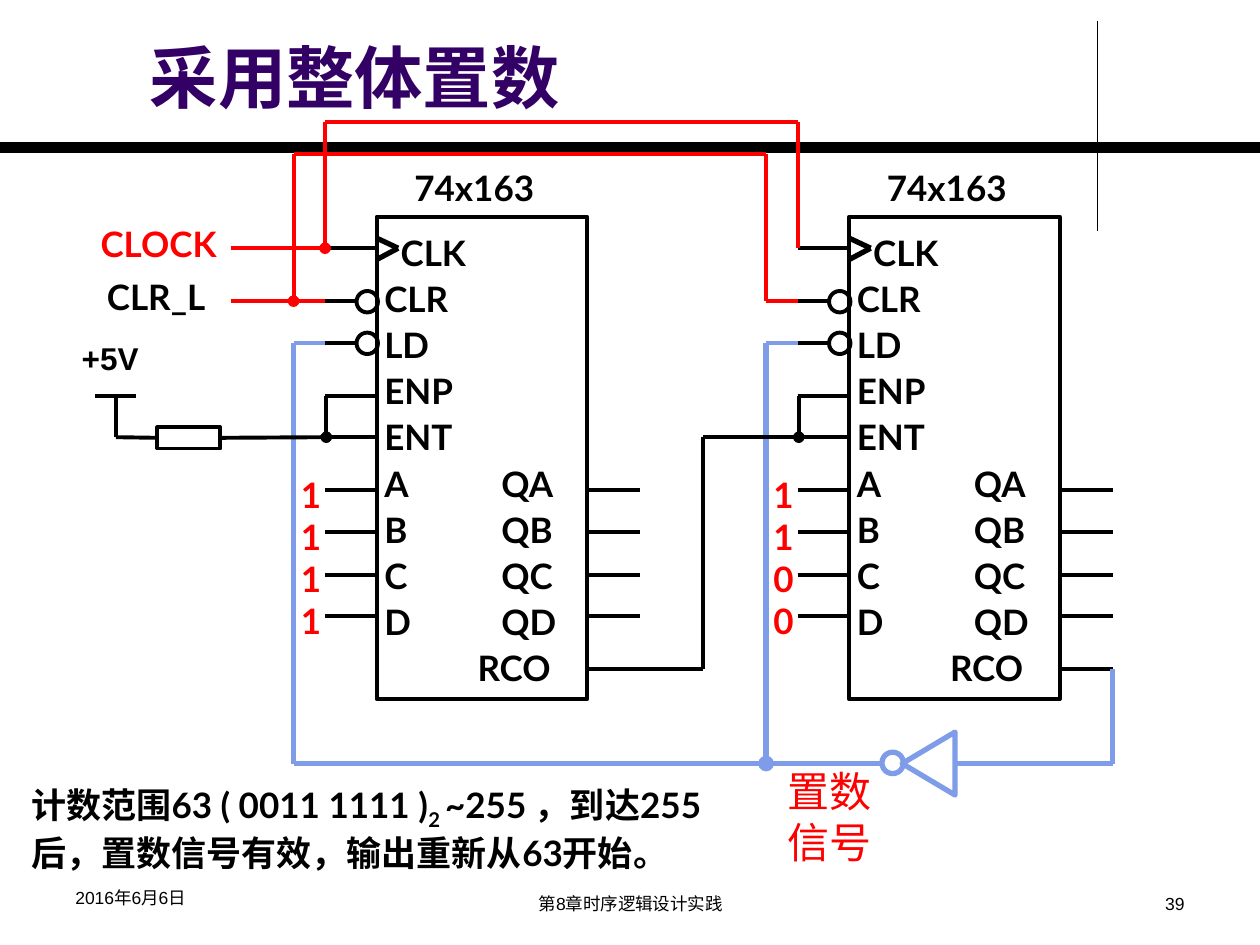
from dataclasses import dataclass
from itertools import pairwise

from lxml.etree import SubElement
from pptx import Presentation
from pptx.dml.color import RGBColor
from pptx.enum.shapes import MSO_CONNECTOR, MSO_SHAPE
from pptx.enum.text import MSO_ANCHOR, MSO_AUTO_SIZE, PP_ALIGN
from pptx.oxml.ns import qn
from pptx.util import Inches, Pt


@dataclass(frozen=True)
class Theme:
    black: RGBColor = RGBColor(0, 0, 0)
    red: RGBColor = RGBColor(255, 0, 0)
    blue: RGBColor = RGBColor(0x7E, 0x9C, 0xE8)
    purple: RGBColor = RGBColor(0x33, 0, 0x66)
    sans: str = "Arial"
    label: str = "Lato"
    title: float = 39
    note: float = 24
    body: float = 20
    volt: float = 18
    foot: float = 10
    hair: float = 0.75
    thin: float = 2.25
    bold: float = 3
    rule: float = 6


T = Theme()
STEP = 3.75  # distance between the two chips
# Left label, right label, indent of the row
ROWS = [("CLK", "", 0.13), ("CLR", "", 0), ("LD", "", 0), ("ENP", "", 0),
        ("ENT", "", 0), ("A", "QA", 0), ("B", "QB", 0), ("C", "QC", 0),
        ("D", "QD", 0), ("RCO", "", 0.74)]
DATA = [2.17, 2.5, 2.84, 3.17]  # pin heights of A to D
RCO = 3.59


def style(para, size, color=T.black, font=T.label, bold=True):
    face = para.font
    face.size, face.name, face.bold = Pt(size), font, bold
    face.color.rgb = color


def text(slide, box, lines, size, color=T.black, font=T.label, bold=True,
         wrap=False, align=PP_ALIGN.LEFT):
    frame = slide.shapes.add_textbox(*map(Inches, box)).text_frame
    frame.word_wrap = wrap
    frame.text = lines
    for para in frame.paragraphs:
        para.alignment = align
        style(para, size, color, font, bold)
    return frame


def shape(slide, kind, box, width=T.thin, color=T.black):
    part = slide.shapes.add_shape(kind, *map(Inches, box))
    part.shadow.inherit = False
    part.fill.background()
    part.line.color.rgb = color
    part.line.width = Pt(width)
    return part


def wire(slide, *points, color=T.black, width=T.thin, dot=False):
    """Join the points by straight lines; dot marks a joint at the end."""
    parts = []
    for start, end in pairwise(points):
        part = slide.shapes.add_connector(
            MSO_CONNECTOR.STRAIGHT, *map(Inches, (*start, *end)))
        part.line.color.rgb = color
        part.line.width = Pt(width)
        SubElement(part._element.spPr, qn("a:effectLst"))
        parts.append(part)
    if dot:
        SubElement(parts[-1].line._get_or_add_ln(), qn("a:tailEnd"), type="oval")
    return parts


def frame(slide):
    # Rules behind the title
    wire(slide, (8.71, 0.17), (8.71, 1.83), width=T.hair)
    wire(slide, (0, 1.17), (10, 1.17), width=T.rule)


def head(slide, x, y, w, h):
    title = slide.shapes.title
    title.left, title.top, title.width, title.height = map(Inches, (x, y, w, h))
    body = title.text_frame
    body.text = "采用整体置数"
    body.auto_size = MSO_AUTO_SIZE.NONE
    body.vertical_anchor = MSO_ANCHOR.MIDDLE
    body.paragraphs[0].alignment = PP_ALIGN.LEFT
    style(body.paragraphs[0], T.title, T.purple, T.sans)


def chip(slide, x, y, w, h):
    # Body and pin names
    body = shape(slide, MSO_SHAPE.RECTANGLE, (x, y, w, h)).text_frame
    body.word_wrap = True
    body.vertical_anchor = MSO_ANCHOR.MIDDLE
    body.margin_left = Inches(0.06)
    body.text = "\n".join(f"{a}\t{b}" if b else a for a, b, _ in ROWS)
    for para, (_, right, indent) in zip(body.paragraphs, ROWS):
        para.alignment = PP_ALIGN.LEFT
        para.line_spacing = 1.1
        style(para, T.body)
        props = para._p.get_or_add_pPr()
        props.set("marL", str(Inches(indent)))
        if right:
            tabs = SubElement(props, qn("a:tabLst"))
            SubElement(tabs, qn("a:tab"), pos=str(Inches(0.93)), algn="l")
    text(slide, (x + 0.2, y - 0.45, 1.26, 0.43), "74x163", T.body)
    # Active-low inputs and clock edge
    for pin in (0.67, 1):
        shape(slide, MSO_SHAPE.OVAL, (x - 0.16, y + pin - 0.08, 0.17, 0.17))
        wire(slide, (x - 0.41, y + pin), (x - 0.16, y + pin))
    wire(slide, (x, y + 0.17), (x + 0.17, y + 0.25), (x, y + 0.34), width=T.bold)
    # Plain inputs and outputs
    for pin in (0.25, 1.42, 1.75, *DATA):
        wire(slide, (x - 0.41, y + pin), (x, y + pin))
    for pin in (*DATA, RCO):
        wire(slide, (x + w, y + pin), (x + w + 0.42, y + pin))


def preset(slide, x, y, bits):
    text(slide, (x, y, 0.38, 1.43), "\n".join(bits), T.body, T.red)


def load(slide, x, y, w, h):
    # Load signal: RCO of the second chip, inverted, to both LD pins
    base, mid, end = y + h, x + STEP, x + w
    pen = dict(color=T.blue, width=T.bold)
    for left in (x, mid):
        wire(slide, (left, y), (left + 0.25, y), color=T.blue)
        wire(slide, (left, y), (left, base), dot=left == mid, **pen)
    wire(slide, (x, base), (x + 4.67, base), **pen)
    shape(slide, MSO_SHAPE.OVAL, (x + 4.67, base - 0.09, 0.17, 0.17), **pen)
    gate = shape(slide, MSO_SHAPE.ISOSCELES_TRIANGLE,
                 (x + 4.79, base - 0.21, 0.5, 0.42), **pen)
    gate.rotation = 270
    wire(slide, (x + 5.25, base), (end, base), (end, base - 0.75), **pen)


def power(slide, x, y):
    # Supply, resistor and enable pins of the first chip
    line = y + 0.83
    text(slide, (x, y, 0.7, 0.5), "+5V", T.volt, font=T.sans)
    wire(slide, (x + 0.2, y + 0.5), (x + 0.53, y + 0.5))
    wire(slide, (x + 0.37, y + 0.5), (x + 0.37, line))
    ohm = shape(slide, MSO_SHAPE.RECTANGLE, (x + 0.7, line - 0.08, 0.5, 0.17))
    feed, = wire(slide, (x + 0.37, line), (x + 0.7, line))
    feed.end_connect(ohm, 1)
    out, = wire(slide, (x + 1.2, line), (x + 2.03, line))
    out.begin_connect(ohm, 3)
    wire(slide, (x + 2.04, y + 0.5), (x + 2.04, line), dot=True)


def carry(slide, x, y, w, h):
    # RCO of the first chip to the enable pins of the second
    wire(slide, (x, y + h), (x + 0.58, y + h), (x + 0.58, y), (x + w, y))
    wire(slide, (x + w, y - 0.33), (x + w, y), dot=True)


def clock(slide, x, y):
    # Each bus: joint, crossbar height, pin height, label box, colour
    buses = [("CLOCK", x + 1.88, y, y + 1, (x, y + 0.75, 1.14, 0.43), T.red),
             ("CLR_L", x + 1.63, y + 0.25, y + 1.42,
              (x + 0.05, y + 1.17, 1.09, 0.43), T.black)]
    for name, left, top, pin, box, color in buses:
        right, port = left + STEP, x + 1.88
        text(slide, box, name, T.body, color)
        wire(slide, (x + 1.13, pin), (port, pin), color=T.red)
        wire(slide, (left, top), (left, pin), color=T.red, dot=True)
        wire(slide, (left, top), (right, top), (right, pin), color=T.red)
        if right < port + STEP:
            wire(slide, (right, pin), (port + STEP, pin), color=T.red)


def notes(slide, x, y):
    body = text(slide, (x, y, 5.77, 0.77), "计数范围63 ( 0011 1111 )",
                T.body, wrap=True)
    para = body.paragraphs[0]
    sub = para.add_run()
    sub.text = "2 "
    sub.font._element.set("baseline", "-25000")
    para.add_run().text = "~255 ，到达255后，置数信号有效，输出重新从63开始。"
    text(slide, (x + 6, y - 0.14, 0.93, 0.91), "置数信号", T.note, T.red,
         T.sans, False, True)


def foot(slide, x, y):
    parts = [(x, y, 2.33, "2016年6月6日", PP_ALIGN.LEFT),
             (x + 2.92, y + 0.05, 3.17, "第8章时序逻辑设计实践", PP_ALIGN.CENTER),
             (x + 6.67, y + 0.05, 2.33, "39", PP_ALIGN.RIGHT)]
    for left, top, wide, words, align in parts:
        text(slide, (left, top, wide, 0.29), words, T.foot, T.black, T.sans,
             False, True, align)


def main():
    deck = Presentation()
    deck.slide_width, deck.slide_height = Inches(10), Inches(7.5)
    slide = deck.slides.add_slide(deck.slide_layouts[5])
    frame(slide)
    head(slide, 1.09, 0.2, 7.55, 0.81)
    for i, bits in enumerate(("1111", "1100")):
        chip(slide, 2.99 + i * STEP, 1.72, 1.67, 3.83)
        preset(slide, 2.29 + i * STEP, 3.71, bits)
    load(slide, 2.33, 2.72, 6.5, 3.34)
    power(slide, 0.55, 2.64)
    carry(slide, 5, 3.47, 1.34, 1.84)
    clock(slide, 0.7, 0.97)
    notes(slide, 0.15, 6.17)
    foot(slide, 0.5, 6.99)
    deck.save("out.pptx")


if __name__ == "__main__":
    main()
